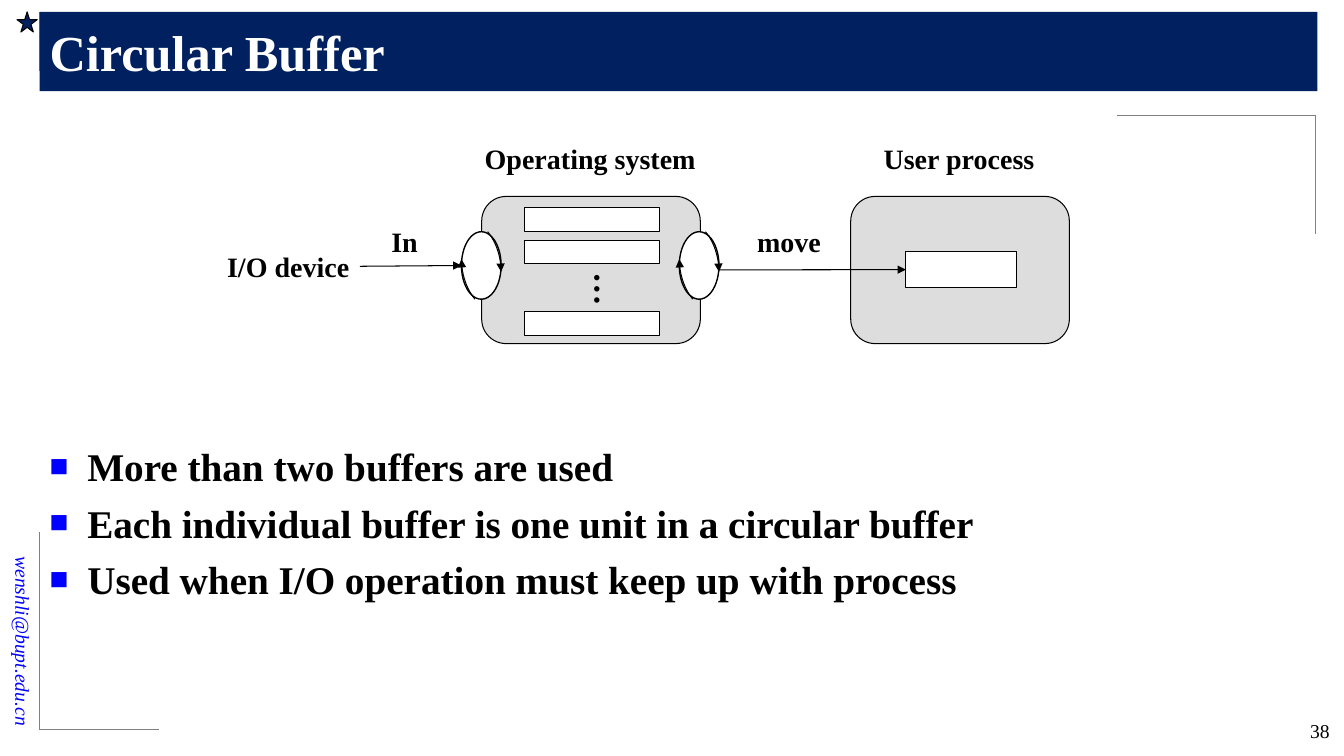
from lxml.etree import SubElement
from pptx import Presentation
from pptx.dml.color import RGBColor
from pptx.enum.shapes import MSO_CONNECTOR, MSO_SHAPE as SHAPE
from pptx.enum.text import MSO_ANCHOR as ANCHOR, PP_ALIGN as ALIGN
from pptx.oxml.ns import qn
from pptx.util import Cm, Pt

NAVY = RGBColor(0x00, 0x20, 0x60)
BLUE = RGBColor(0x00, 0x00, 0xFF)
BLACK = RGBColor(0x00, 0x00, 0x00)
WHITE = RGBColor(0xFF, 0xFF, 0xFF)
GRAY = RGBColor(0x80, 0x80, 0x80)
LIGHT = RGBColor(0xDD, 0xDD, 0xDD)
SERIF = "Times New Roman"
CJK = "Noto Sans CJK SC"


class SlideBuilder:
    def __init__(self, slide):
        self.s = slide
        self.font = {"name": SERIF, "size": Pt(20), "bold": True}

    def put_text(self, tf, lines, align=ALIGN.CENTER, color=BLACK, bullet=None, gap=0, **fmt):
        for i, line in enumerate(lines):
            p = tf.paragraphs[0] if i == 0 else tf.add_paragraph()
            if bullet:
                self.add_bullet(p, bullet)
            p.alignment = align
            p.space_before = Pt(gap if i else 0)
            r = p.add_run()
            r.text = line
            for key, value in {**self.font, **fmt}.items():
                setattr(r.font, key, value)
            r.font.color.rgb = color

    def add_bullet(self, p, color):
        pPr = p._p.get_or_add_pPr()
        pPr.set("marL", str(Cm(0.95)))
        pPr.set("indent", str(-Cm(0.95)))
        clr = SubElement(pPr, qn("a:buClr"))
        SubElement(clr, qn("a:srgbClr"), val=str(color))
        SubElement(pPr, qn("a:buSzPct"), val="80000")
        SubElement(pPr, qn("a:buFont"), typeface=SERIF)
        SubElement(pPr, qn("a:buChar"), char="■")

    def text(self, x, y, w, h, lines, wrap=False, anchor=ANCHOR.TOP, **fmt):
        sp = self.s.shapes.add_textbox(Cm(x), Cm(y), Cm(w), Cm(h))
        tf = sp.text_frame
        tf.word_wrap = wrap
        tf.vertical_anchor = anchor
        self.put_text(tf, lines, **fmt)
        return sp

    def shape(self, kind, x, y, w, h, fill, line=BLACK, width=0.75):
        sp = self.s.shapes.add_shape(kind, Cm(x), Cm(y), Cm(w), Cm(h))
        sp.shadow.inherit = False
        sp.fill.solid()
        sp.fill.fore_color.rgb = fill
        if line is None:
            sp.line.fill.background()
        else:
            self.stroke(sp, line, width)
        return sp

    def stroke(self, sp, color=BLACK, width=0.75, arrow=False):
        sp.line.color.rgb = color
        sp.line.width = Pt(width)
        if arrow:
            ln = sp._element.spPr.find(qn("a:ln"))
            SubElement(ln, qn("a:tailEnd"), type="triangle")

    def line(self, x1, y1, x2, y2, **fmt):
        sp = self.s.shapes.add_connector(MSO_CONNECTOR.STRAIGHT, Cm(x1), Cm(y1), Cm(x2), Cm(y2))
        self.stroke(sp, **fmt)
        SubElement(sp._element.spPr, qn("a:effectLst"))
        return sp

    def curve(self, controls, steps=12):
        """Draw a cubic curve with an arrowhead at its end."""
        points = []
        for i in range(steps + 1):
            t = i / steps
            weights = ((1 - t) ** 3, 3 * t * (1 - t) ** 2, 3 * t * t * (1 - t), t ** 3)
            points.append(tuple(Cm(sum(k * c for k, c in zip(weights, axis)))
                                for axis in zip(*controls)))
        fb = self.s.shapes.build_freeform(*points[0])
        fb.add_line_segments(points[1:], close=False)
        sp = fb.convert_to_shape()
        sp.shadow.inherit = False
        sp.fill.background()
        self.stroke(sp, arrow=True)

    def rotor(self, x, y, w=1.0, h=1.7):
        """Draw an ellipse with two arrows circling it."""
        self.shape(SHAPE.OVAL, x, y, w, h, WHITE, width=1)
        arc = ((0.34, 1.7), (0.13, 1.45), (0, 1.07), (0, 0.69))
        self.curve([(x + dx, y + dy) for dx, dy in arc])
        self.curve([(x + w - dx, y + h - dy) for dx, dy in arc])


def main():
    prs = Presentation()
    prs.slide_width, prs.slide_height = Cm(33.87), Cm(19.05)
    b = SlideBuilder(prs.slides.add_slide(prs.slide_layouts[6]))

    # Frame: e-mail, corner lines and star
    email = b.text(-2.77, 14.76, 6.71, 0.86, ["wenshli@bupt.edu.cn"], anchor=ANCHOR.MIDDLE,
                   wrap=True, align=ALIGN.RIGHT, color=BLUE, size=Pt(14), bold=False, italic=True)
    email.rotation = 90
    for x, y, x_end, y_end in ((1, 0.3, 6, 1.8), (1, 18.39, 4, 13.41), (33.15, 2.9, 28.15, 5.9)):
        b.line(x, y, x, y_end, color=GRAY, width=0.5)
        b.line(x, y, x_end, y, color=GRAY, width=0.5)
    b.shape(SHAPE.STAR_5_POINT, 0.43, 0.3, 0.51, 0.51, NAVY)

    # Title, bullets and page number
    title = b.shape(SHAPE.RECTANGLE, 1, 0.3, 32.2, 2, NAVY, line=None)
    title.text_frame.vertical_anchor = ANCHOR.MIDDLE
    b.put_text(title.text_frame, ["Circular Buffer"], align=ALIGN.LEFT, color=WHITE, size=Pt(36))
    b.text(1, 11.02, 32.1, 7.37, [
        "More than two buffers are used",
        "Each individual buffer is one unit in a circular buffer",
        "Used when I/O operation must keep up with process",
    ], wrap=True, align=ALIGN.LEFT, bullet=BLUE, gap=6.8, size=Pt(28))
    b.text(30.94, 17.98, 2.82, 0.91, ["38"], wrap=True, align=ALIGN.RIGHT, size=Pt(14), bold=False)

    # Operating system and user process boxes
    for x in (12.14, 21.44):
        b.shape(SHAPE.ROUNDED_RECTANGLE, x, 4.95, 5.51, 3.71, LIGHT)
    for y in (5.23, 6.05, 7.85):
        b.shape(SHAPE.RECTANGLE, 13.23, y, 3.4, 0.6, WHITE)
    user_buffer = b.shape(SHAPE.RECTANGLE, 22.83, 6.35, 2.79, 0.89, WHITE)

    # Labels
    labels = {}
    for name, x, y, w in (("Operating system", 11.94, 3.45, 5.87),
                          ("User process", 22, 3.45, 4.34),
                          ("I/O device", 5.46, 6.15, 3.61),
                          ("In", 9.6, 5.54, 1.19),
                          ("move", 18.82, 5.54, 2.13)):
        labels[name] = b.text(x, y, w, 1.12, [name])

    # Vertical ellipsis between the buffers
    dots = b.text(14.15, 6.63, 1.55, 1.12, ["…"], name=CJK, size=Pt(24))
    dots.text_frame._txBody.bodyPr.set("vert", "eaVert")
    rPr = dots.text_frame.paragraphs[0].runs[0]._r.get_or_add_rPr()
    SubElement(rPr, qn("a:ea"), typeface=CJK)

    # Rotors and data flow
    for x in (11.63, 17.12):
        b.rotor(x, 5.84)
    flow_in = b.line(9.07, 6.71, 11.63, 6.69, arrow=True)
    flow_in.begin_connect(labels["I/O device"], 3)
    move = b.line(18.12, 6.8, 22.83, 6.8, arrow=True)
    move.end_connect(user_buffer, 1)

    prs.save("out.pptx")


if __name__ == "__main__":
    main()
